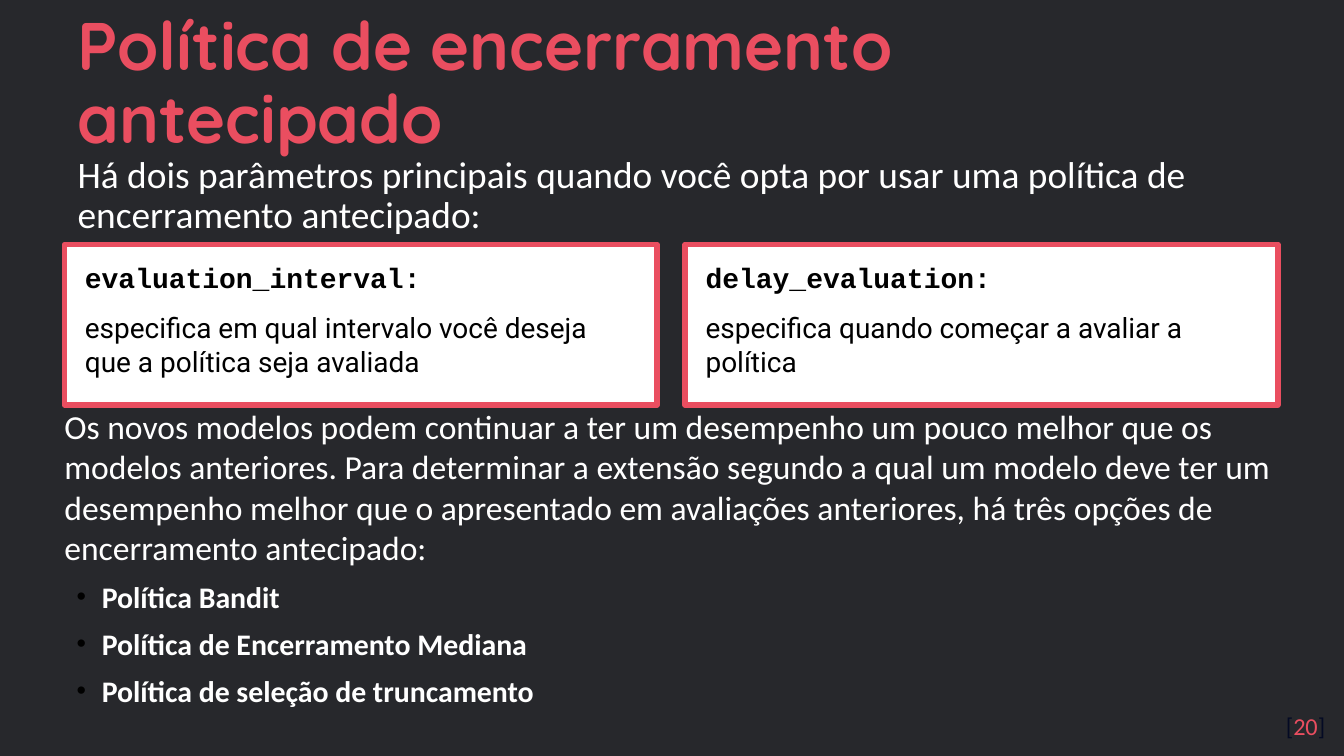
from dataclasses import dataclass

from lxml import etree
from pptx import Presentation
from pptx.dml.color import RGBColor
from pptx.enum import shapes, text
from pptx.oxml import ns
from pptx.util import Pt


@dataclass(frozen=True)
class Theme:
    dark: RGBColor = RGBColor(0x27, 0x28, 0x2C)
    accent: RGBColor = RGBColor(0xEA, 0x4E, 0x60)
    white: RGBColor = RGBColor(0xFF, 0xFF, 0xFF)
    black: RGBColor = RGBColor(0, 0, 0)
    navy: RGBColor = RGBColor(0x04, 0x0A, 0x24)
    heading: str = "Quicksand"
    body: str = "Calibri"
    code: str = "Courier New"
    card: str = "Roboto"
    title_size: int = 36
    intro_size: int = 20
    text_size: int = 18
    list_size: int = 16
    card_size: int = 15
    number_size: int = 13


THEME = Theme()


def add_span(para, words, font, size, color, bold=False):
    span = para.add_run()
    span.text = words
    span.font.name = font
    span.font.size = Pt(size)
    span.font.color.rgb = color
    span.font.bold = bold


def prepare_frame(shape, inset_x, inset_y, anchor=text.MSO_ANCHOR.TOP):
    frame = shape.text_frame
    frame.word_wrap = True
    frame.vertical_anchor = anchor
    frame.margin_left = frame.margin_right = Pt(inset_x)
    frame.margin_top = frame.margin_bottom = Pt(inset_y)
    return frame


def add_text_box(page, box, inset_x, inset_y, anchor=text.MSO_ANCHOR.TOP):
    shape = page.shapes.add_textbox(*map(Pt, box))
    return prepare_frame(shape, inset_x, inset_y, anchor)


def add_bullet(para):
    """Give the paragraph a hanging dark dot."""
    props = para._p.get_or_add_pPr()
    props.set("marL", str(Pt(20)))
    props.set("indent", str(-Pt(13.5)))
    color = etree.SubElement(props, ns.qn("a:buClr"))
    etree.SubElement(color, ns.qn("a:srgbClr"), val=str(THEME.black))
    etree.SubElement(props, ns.qn("a:buSzPct"), val="90000")
    etree.SubElement(props, ns.qn("a:buFont"), typeface="Arial")
    etree.SubElement(props, ns.qn("a:buChar"), char="•")


def add_title(page, box, words):
    para = add_text_box(page, box, 7.2, 3.6, text.MSO_ANCHOR.MIDDLE).paragraphs[0]
    para.line_spacing = 0.9
    add_span(para, words, THEME.heading, THEME.title_size, THEME.accent, bold=True)


def add_intro(page, box, words):
    para = add_text_box(page, box, 7.2, 3.6).paragraphs[0]
    para.line_spacing = 0.9
    add_span(para, words, THEME.body, THEME.intro_size, THEME.white)


def add_card(page, box, name, lines):
    card = page.shapes.add_shape(shapes.MSO_SHAPE.RECTANGLE, *map(Pt, box))
    card.shadow.inherit = False
    card.fill.solid()
    card.fill.fore_color.rgb = THEME.white
    card.line.color.rgb = THEME.accent
    card.line.width = Pt(3)
    frame = prepare_frame(card, 11, 8.6)
    label, detail = frame.paragraphs[0], frame.add_paragraph()
    for para in (label, detail):
        para.alignment = text.PP_ALIGN.LEFT
        para.space_before = Pt(9)
    add_span(label, name, THEME.code, THEME.card_size, THEME.black, bold=True)
    for index, line in enumerate(lines):
        if index:
            detail.add_line_break()
        add_span(detail, line, THEME.card, THEME.card_size, THEME.black)


def add_cards(page, box, cards, gap=15):
    """Share the box width equally between the cards."""
    left, top, width, height = box
    card_width = (width - gap * (len(cards) - 1)) / len(cards)
    for index, (name, lines) in enumerate(cards):
        card_left = left + index * (card_width + gap)
        add_card(page, (card_left, top, card_width, height), name, lines)


def add_options(page, box, lead, options):
    frame = add_text_box(page, box, 0, 0)
    para = frame.paragraphs[0]
    para.space_after = Pt(6)
    add_span(para, lead, THEME.body, THEME.text_size, THEME.white)
    for option in options:
        para = frame.add_paragraph()
        para.space_after = Pt(6)
        add_bullet(para)
        add_span(para, option, THEME.body, THEME.list_size, THEME.white, bold=True)


def add_page_number(page, box, number):
    para = add_text_box(page, box, 7.2, 7.2).paragraphs[0]
    para.alignment = text.PP_ALIGN.RIGHT
    for words, color in (("[", THEME.navy), (number, THEME.accent), ("]", THEME.navy)):
        add_span(para, words, THEME.body, THEME.number_size, color)


def main():
    deck = Presentation()
    deck.slide_width, deck.slide_height = Pt(720), Pt(405)
    page = deck.slides.add_slide(deck.slide_layouts[6])
    page.background.fill.solid()
    page.background.fill.fore_color.rgb = THEME.dark

    left, width = 34.5, 650
    add_intro(page, (left, 80, width, 51),
              "Há dois parâmetros principais quando você opta por usar uma política de "
              "encerramento antecipado:")
    add_cards(page, (left, 131, width, 86), [
        ("evaluation_interval:",
         ["especifica em qual intervalo você deseja ", "que a política seja avaliada"]),
        ("delay_evaluation:", ["especifica quando começar a avaliar a política"]),
    ])
    add_options(page, (left, 217.5, width, 163.5),
                "Os novos modelos podem continuar a ter um desempenho um pouco melhor que os "
                "modelos anteriores. Para determinar a extensão segundo a qual um modelo deve "
                "ter um desempenho melhor que o apresentado em avaliações anteriores, há três "
                "opções de encerramento antecipado:",
                ["Política Bandit", "Política de Encerramento Mediana",
                 "Política de seleção de truncamento"])
    add_page_number(page, (669.5, 374, 47.5, 31), "20")
    add_title(page, (left, 11.5, 628, 68.5), "Política de encerramento antecipado")
    deck.save("out.pptx")


if __name__ == "__main__":
    main()
